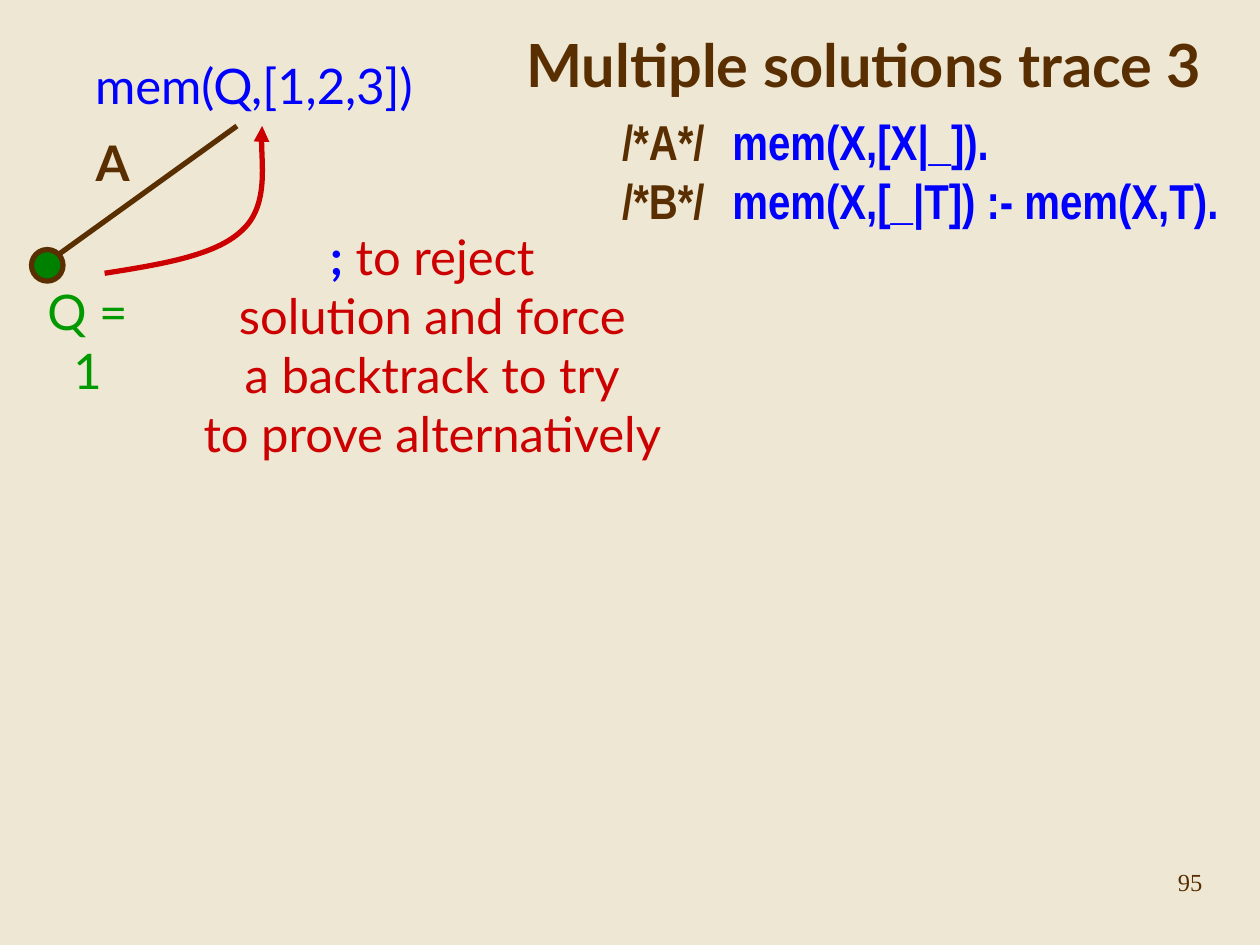
from lxml import etree
from pptx import Presentation
from pptx import util as u
from pptx.dml.color import RGBColor
from pptx.enum import shapes, text
from pptx.oxml.ns import qn

BROWN, BLUE, RED, GREEN = "592F02", "0000FF", "CC0000", "009900"


def color(fmt, value):
    fmt.rgb = RGBColor.from_string(value)


class TraceSlide:
    font = "Lato"
    size = 28
    line_width = 3

    def __init__(self, prs, background):
        self.s = prs.slides.add_slide(prs.slide_layouts[6])
        fill = self.s.background.fill
        fill.solid()
        color(fill.fore_color, background)

    def text(self, box, lines, size=None, font=None, align=text.PP_ALIGN.CENTER,
             tab=None, wrap=False):
        tf = self.s.shapes.add_textbox(*map(u.Pt, box)).text_frame
        tf.word_wrap = wrap
        tf.vertical_anchor = text.MSO_ANCHOR.MIDDLE
        for i, runs in enumerate(lines):
            p = tf.add_paragraph() if i else tf.paragraphs[0]
            p.alignment = align
            if tab:
                tabs = etree.SubElement(p._p.get_or_add_pPr(), qn("a:tabLst"))
                etree.SubElement(tabs, qn("a:tab"), pos=str(u.Pt(tab)), algn="l")
            for words, hue, bold in runs:
                r = p.add_run()
                r.text = words
                r.font.name = font or self.font
                r.font.size = u.Pt(size or self.size)
                r.font.bold = bold
                color(r.font.color, hue)

    def stroke(self, line, hue):
        line.width = u.Pt(self.line_width)
        line.fill.solid()
        color(line.fill.fore_color, hue)

    def branch(self, start, end, hue):
        c = self.s.shapes.add_connector(
            shapes.MSO_CONNECTOR.STRAIGHT, *map(u.Pt, start + end))
        self.stroke(c.line, hue)
        etree.SubElement(c._element.spPr, qn("a:effectLst"))

    def node(self, box, fill, outline):
        sp = self.s.shapes.add_shape(shapes.MSO_SHAPE.OVAL, *map(u.Pt, box))
        sp.shadow.inherit = False
        sp.fill.solid()
        color(sp.fill.fore_color, fill)
        self.stroke(sp.line, outline)

    def curved_arrow(self, points, hue):
        start, *rest = [(u.Pt(x), u.Pt(y)) for x, y in points]
        builder = self.s.shapes.build_freeform(*start)
        builder.add_line_segments(rest, close=False)
        sp = builder.convert_to_shape()
        sp.shadow.inherit = False
        sp.fill.background()
        self.stroke(sp.line, hue)
        etree.SubElement(sp.line._get_or_add_ln(), qn("a:tailEnd"), type="triangle")
        outline = sp._element.find(".//" + qn("a:path"))
        segments = outline.findall(qn("a:lnTo"))
        for i in range(0, len(segments), 3):
            curve = etree.SubElement(outline, qn("a:cubicBezTo"))
            for segment in segments[i:i + 3]:
                curve.append(segment[0])
                outline.remove(segment)


def main():
    prs = Presentation()
    prs.slide_width, prs.slide_height = u.Pt(720), u.Pt(540)
    s = TraceSlide(prs, "EEE7D3")

    s.text((40.3, 28.1, 209.5, 41), [[("mem(Q,[1,2,3])", BLUE, False)]])
    s.branch((135.4, 72), (27.4, 149.8), BROWN)
    s.text((47.5, 72, 33.8, 41), [[("A", BROWN, True)]])
    s.node((18, 142.6, 18, 18), "008000", BROWN)

    clauses = [("/*A*/", "mem(X,[X|_])."), ("/*B*/", "mem(X,[_|T]) :- mem(X,T).")]
    s.text((348.5, 59.8, 355, 74.9),
           [[(label + "\t", BROWN, True), (clause, BLUE, True)]
            for label, clause in clauses],
           font="Arial Narrow", align=text.PP_ALIGN.LEFT, tab=63)

    s.text((643.7, 491.8, 72.7, 24.5), [[("95", BROWN, False)]],
           size=14, font="Times New Roman")
    s.text((270.7, 12.2, 445.7, 48.2),
           [[("Multiple solutions trace 3", BROWN, True)]], size=34)
    s.text((8.6, 174.2, 82.8, 41), [[("Q = 1", GREEN, False)]], wrap=True)

    s.curved_arrow([(59.8, 156.2), (91.4, 151.2), (123.1, 146.2), (138.2, 131.8),
                    (153.4, 118.1), (148.3, 82.1), (149.8, 72)], RED)
    advice = ["solution and force", "a backtrack to try", "to prove alternatively"]
    s.text((100.1, 126, 293.8, 141.8),
           [[(";", BLUE, True), (" to reject", RED, False)]]
           + [[(line, RED, False)] for line in advice])

    prs.save("out.pptx")


if __name__ == "__main__":
    main()
